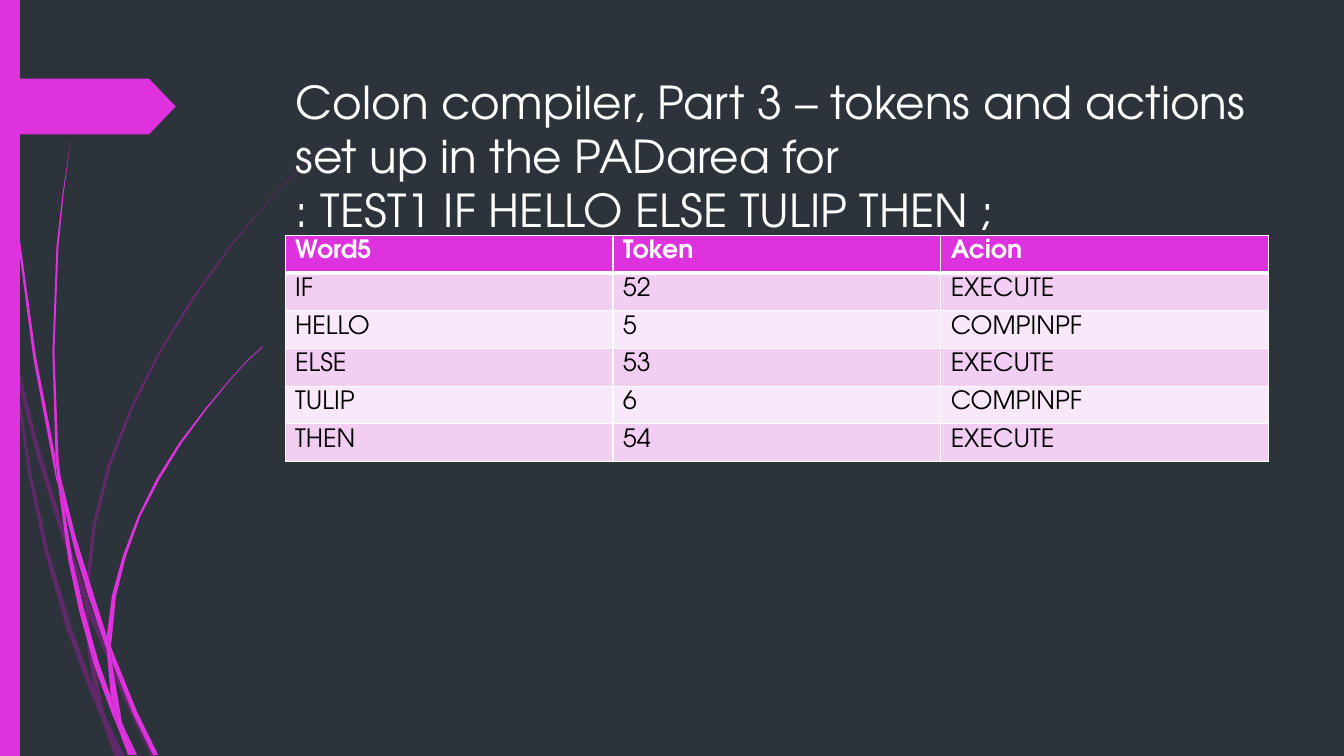
import lxml.etree
import pptx
import pptx.dml.color
import pptx.enum.shapes
import pptx.enum.text
import pptx.oxml.ns
import pptx.util

Cm = pptx.util.Cm
Pt = pptx.util.Pt
qn = pptx.oxml.ns.qn

FONT = "TeX Gyre Adventor"
COLOURS = {
    "background": "2C333A",
    "accent": "DE32DE",
    "faint": "B01CB0",
    "band dark": "F2CEF2",
    "band light": "F9E8F9",
    "white": "FFFFFF",
    "black": "000000",
}
RGB = {name: pptx.dml.color.RGBColor.from_string(code) for name, code in COLOURS.items()}

# Outlines of the stalk pieces, on a grid of 0.0254 cm
GRID = Cm(0.0254)
FAINT_PIECES = [
    [(11, 350), (9, 322), (0, 282), (0, 299), (10, 344)],
    [(58, 522), (84, 599), (85, 586), (62, 520), (36, 435), (14, 345), (17, 376), (36, 450)],
    [(92, 607), (88, 596), (88, 610), (123, 694), (150, 751), (155, 751), (127, 692)],
    [(119, 751), (124, 751), (105, 711)],
    [(93, 683), (70, 619), (48, 546), (31, 469), (17, 376), (11, 350), (28, 470),
     (44, 546), (65, 621), (92, 693), (101, 714), (99, 707)],
    [(84, 599), (87, 646), (93, 683), (96, 692), (105, 711), (103, 706), (91, 646),
     (88, 610), (88, 608)],
    [(88, 584), (95, 522), (110, 462), (132, 405), (160, 349), (193, 296), (229, 245),
     (268, 198), (290, 175), (312, 154), (312, 153), (289, 175), (268, 197), (228, 244),
     (191, 295), (158, 348), (130, 403), (107, 461), (92, 521), (85, 584), (85, 586),
     (88, 596)],
    [(101, 714), (114, 751), (119, 751)],
    [(88, 608), (88, 610), (88, 596), (85, 586), (84, 599)],
    [(96, 692), (93, 683), (99, 707), (101, 714), (119, 751), (105, 711)],
]
BRIGHT_PIECES = [
    [(7, 110), (17, 233), (33, 355), (56, 477), (57, 481), (55, 457), (55, 453),
     (36, 355), (19, 232), (8, 109), (5, 48), (4, 0), (3, 0), (4, 48)],
    [(88, 592), (106, 645), (106, 631), (93, 590), (75, 532), (60, 472), (64, 505),
     (75, 549)],
    [(113, 649), (110, 641), (111, 656), (132, 708), (152, 749), (157, 749), (136, 706)],
    [(110, 691), (98, 657), (84, 607), (72, 556), (64, 505), (57, 477), (68, 557),
     (79, 608), (93, 659), (111, 708), (117, 722), (116, 717)],
    [(60, 472), (58, 453), (54, 349), (58, 245), (63, 193), (70, 141), (62, 193),
     (56, 245), (52, 349), (55, 449)],
    [(133, 749), (136, 749), (122, 719)],
    [(57, 477), (64, 505), (60, 472), (55, 449), (55, 453)],
    [(111, 633), (115, 592), (125, 552), (139, 513), (158, 476), (180, 440), (205, 406),
     (231, 374), (245, 359), (261, 344), (260, 344), (245, 358), (231, 373), (204, 405),
     (178, 439), (156, 474), (137, 512), (122, 551), (111, 591), (106, 631), (110, 641)],
    [(117, 722), (127, 749), (131, 749)],
    [(106, 645), (110, 691), (116, 706), (122, 719), (121, 716), (111, 656), (109, 651)],
    [(106, 645), (109, 651), (111, 656), (110, 641), (106, 631)],
    [(116, 706), (110, 691), (116, 717), (117, 722), (130, 749), (133, 749), (122, 719)],
]

TITLE_LINES = [
    "Colon compiler, Part 3 – tokens and actions set up in the PADarea for",
    ": TEST1 IF HELLO ELSE TULIP THEN ;",
]
TOKEN_ROWS = [
    ("Word5", "Token", "Acion"),
    ("IF", "52", "EXECUTE"),
    ("HELLO", "5", "COMPINPF"),
    ("ELSE", "53", "EXECUTE"),
    ("TULIP", "6", "COMPINPF"),
    ("THEN", "54", "EXECUTE"),
]


def paint(shape, colour):
    """Give a shape a plain fill without line or shadow."""
    shape.shadow.inherit = False
    shape.fill.solid()
    shape.fill.fore_color.rgb = RGB[colour]
    shape.line.fill.background()


def add_text(paragraph, text, size, colour, bold=False):
    """Add one formatted run to a paragraph."""
    run = paragraph.add_run()
    run.text = text
    run.font.name = FONT
    run.font.size = Pt(size)
    run.font.bold = bold
    run.font.color.rgb = RGB[colour]


deck = pptx.Presentation()
deck.slide_width = Cm(33.87)
deck.slide_height = Cm(19.05)
slide = deck.slides.add_slide(deck.slide_layouts[5])
slide.background.fill.solid()
slide.background.fill.fore_color.rgb = RGB["background"]

# Curved stalks, the faint ones behind the bright ones
for colour, pieces in (("faint", FAINT_PIECES), ("accent", BRIGHT_PIECES)):
    for outline in pieces:
        builder = slide.shapes.build_freeform(*outline[0], scale=GRID)
        builder.add_line_segments(outline[1:], close=True)
        stalk = builder.convert_to_shape()
        paint(stalk, colour)
        if colour == "faint":
            tint = stalk.element.spPr.find(qn("a:solidFill")).find(qn("a:srgbClr"))
            lxml.etree.SubElement(tint, qn("a:alpha"), val="40000")

# Side bar and the tag that points to the title
side_bar = slide.shapes.add_shape(
    pptx.enum.shapes.MSO_SHAPE.RECTANGLE, 0, 0, Cm(0.5), deck.slide_height)
paint(side_bar, "accent")
tag = slide.shapes.add_shape(
    pptx.enum.shapes.MSO_SHAPE.PENTAGON, 0, Cm(1.98), Cm(4.43), Cm(1.41))
tag.adjustments[0] = 0.48
paint(tag, "accent")

# Title, in front of the stalks
title = slide.shapes.title
slide.shapes.element.append(title.element)
title.left, title.top, title.width, title.height = Cm(7.2), Cm(1.73), Cm(24.77), Cm(4.19)
title_frame = title.text_frame
title_frame.word_wrap = True
title_frame.auto_size = pptx.enum.text.MSO_AUTO_SIZE.NONE
title_frame.vertical_anchor = pptx.enum.text.MSO_ANCHOR.TOP
heading = title_frame.paragraphs[0]
heading.alignment = pptx.enum.text.PP_ALIGN.LEFT
for number, line in enumerate(TITLE_LINES):
    if number:
        heading.add_line_break()
    add_text(heading, line, 32.4, "white")

# Token table
row_height = Cm(0.95)
tokens = slide.shapes.add_table(
    len(TOKEN_ROWS), len(TOKEN_ROWS[0]), Cm(7.19), Cm(5.93),
    Cm(24.78), row_height * len(TOKEN_ROWS)).table
for column in tokens.columns:
    column.width = Cm(8.26)
for r, words in enumerate(TOKEN_ROWS):
    tokens.rows[r].height = row_height
    is_header = r == 0
    band = "accent" if is_header else "band dark" if r % 2 else "band light"
    for c, word in enumerate(words):
        cell = tokens.cell(r, c)
        cell.margin_left = cell.margin_right = Cm(0.25)
        cell.margin_top = Cm(0.12)
        cell.margin_bottom = 0
        cell.vertical_anchor = pptx.enum.text.MSO_ANCHOR.TOP
        properties = cell._tc.get_or_add_tcPr()
        for side in "LRTB":
            under_header = (r, side) in ((0, "B"), (1, "T"))
            border = lxml.etree.SubElement(
                properties, qn(f"a:ln{side}"), w=str(Pt(3 if under_header else 1)))
            border_fill = lxml.etree.SubElement(border, qn("a:solidFill"))
            lxml.etree.SubElement(border_fill, qn("a:srgbClr"), val=COLOURS["white"])
        cell.fill.solid()
        cell.fill.fore_color.rgb = RGB[band]
        add_text(cell.text_frame.paragraphs[0], word, 18,
                 "white" if is_header else "black", is_header)

deck.save("out.pptx")
